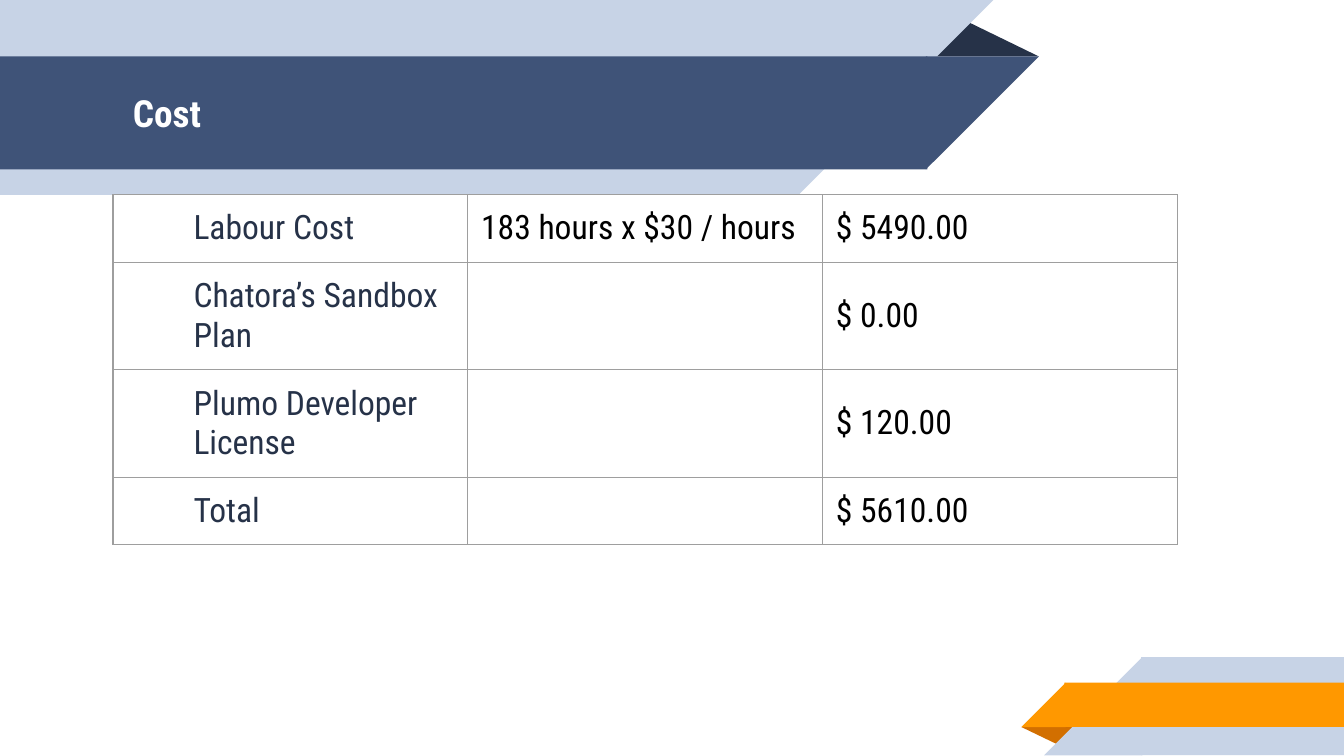
from lxml import etree
from pptx import Presentation
from pptx.dml.color import RGBColor
from pptx.enum import shapes, text
from pptx.oxml.ns import qn
from pptx.util import Inches, Pt

FONT = "Roboto Condensed"
NAVY, BLUE, PALE = "263248", "3F5378", "C7D3E6"
ORANGE, DARK_ORANGE = "FF9800", "D26F00"
WHITE, BLACK, GREY = "FFFFFF", "000000", "9E9E9E"
KIND = shapes.MSO_SHAPE

COSTS = [
    ("Labour Cost", "183 hours x $30 / hours", "$ 5490.00"),
    ("Chatora’s Sandbox Plan", "", "$ 0.00"),
    ("Plumo Developer License", "", "$ 120.00"),
    ("Total", "", "$ 5610.00"),
]
SLIDE_WIDTH = 10
ROW_HEIGHT = 0.42  # rows grow to fit their text
COLUMN_WIDTH = 2.64
OVERLAP = 0.01  # hides the seam between the two parts of a band


def rgb(value):
    return RGBColor.from_string(value)


def set_frame(target, **values):
    """Centre vertically and set margins of a text frame or table cell."""
    sides = ("left", "right", "top", "bottom")
    margins = {"margin_" + side: Inches(0.1) for side in sides}
    anchor = {"vertical_anchor": text.MSO_ANCHOR.MIDDLE}
    for name, value in {**margins, **anchor, **values}.items():
        setattr(target, name, value)


def format_text(paragraph, content, color, **values):
    run = paragraph.add_run()
    run.text = content
    run.font.color.rgb = rgb(color)
    for name, value in {"name": FONT, **values}.items():
        setattr(run.font, name, value)


def add_block(slide, kind, box, color, rotation=0, mirrored=False):
    shape = slide.shapes.add_shape(kind, *map(Inches, box))
    shape.shadow.inherit = False
    shape.fill.solid()
    shape.fill.fore_color.rgb = rgb(color)
    shape.line.fill.background()
    shape.rotation = rotation
    if mirrored:
        shape.element.spPr.xfrm.set("flipH", "1")
    return shape


def add_fold(slide, box, color, rotation=0):
    fold = add_block(slide, KIND.ISOSCELES_TRIANGLE, box, color, rotation)
    fold.adjustments[0] = 0.324


def add_left_band(slide, top, width, height, color):
    """Band from the left edge, slanting inwards at its right end."""
    for kind, box in (
        (KIND.RECTANGLE, (0, top, width + OVERLAP, height)),
        (KIND.RIGHT_TRIANGLE, (width, top, height, height)),
    ):
        add_block(slide, kind, box, color, 180, True)


def add_right_band(slide, left, top, height, color):
    """Band to the right edge, slanting at its left end."""
    start = left + height - OVERLAP
    for kind, box in (
        (KIND.RECTANGLE, (start, top, SLIDE_WIDTH - start, height)),
        (KIND.RIGHT_TRIANGLE, (left, top, height, height)),
    ):
        add_block(slide, kind, box, color, mirrored=True)


def add_title(slide, content):
    box = slide.shapes.add_textbox(*map(Inches, (0.89, 0.42, 6.01, 0.84)))
    set_frame(box.text_frame, word_wrap=True)
    format_text(box.text_frame.paragraphs[0], content, WHITE,
                size=Pt(20), bold=True)


def add_borders(cell):
    properties = cell._tc.get_or_add_tcPr()
    for index, side in enumerate(("lnL", "lnR", "lnT", "lnB")):
        line = etree.Element(qn("a:" + side), w=str(Pt(0.75)))
        fill = etree.SubElement(line, qn("a:solidFill"))
        etree.SubElement(fill, qn("a:srgbClr"), val=GREY)
        properties.insert(index, line)


def fill_cell(cell, content, is_label):
    set_frame(cell)
    cell.fill.background()
    add_borders(cell)
    if not content:
        return
    paragraph = cell.text_frame.paragraphs[0]
    if is_label:
        paragraph._p.get_or_add_pPr().set("marL", str(Inches(0.5)))
    format_text(paragraph, content, NAVY if is_label else BLACK, size=Pt(18))


def add_cost_table(slide):
    rows, columns = len(COSTS), len(COSTS[0])
    frame = slide.shapes.add_table(
        rows, columns, Inches(0.84), Inches(1.45),
        Inches(columns * COLUMN_WIDTH), Inches(rows * ROW_HEIGHT))
    table = frame.table
    table.first_row = table.horz_banding = False
    for row, costs in zip(table.rows, COSTS):
        for index, content in enumerate(costs):
            fill_cell(row.cells[index], content, index == 0)


def main():
    presentation = Presentation()
    presentation.slide_width = Inches(SLIDE_WIDTH)
    presentation.slide_height = Inches(SLIDE_WIDTH * 9 / 16)
    slide = presentation.slides.add_slide(presentation.slide_layouts[6])

    # Title ribbon
    add_fold(slide, (6.88, 0.14, 0.85, 0.28), NAVY)
    add_left_band(slide, 0, 5.94, 1.45, PALE)
    add_left_band(slide, 0.42, 6.89, 0.84, BLUE)

    # Corner ribbon
    add_fold(slide, (7.6, 5.41, 0.43, 0.14), DARK_ORANGE, 180)
    add_right_band(slide, 7.77, 4.89, 0.73, PALE)
    add_right_band(slide, 7.6, 5.08, 0.33, ORANGE)

    # Content
    add_title(slide, "Cost")
    add_cost_table(slide)

    presentation.save("out.pptx")


if __name__ == "__main__":
    main()
